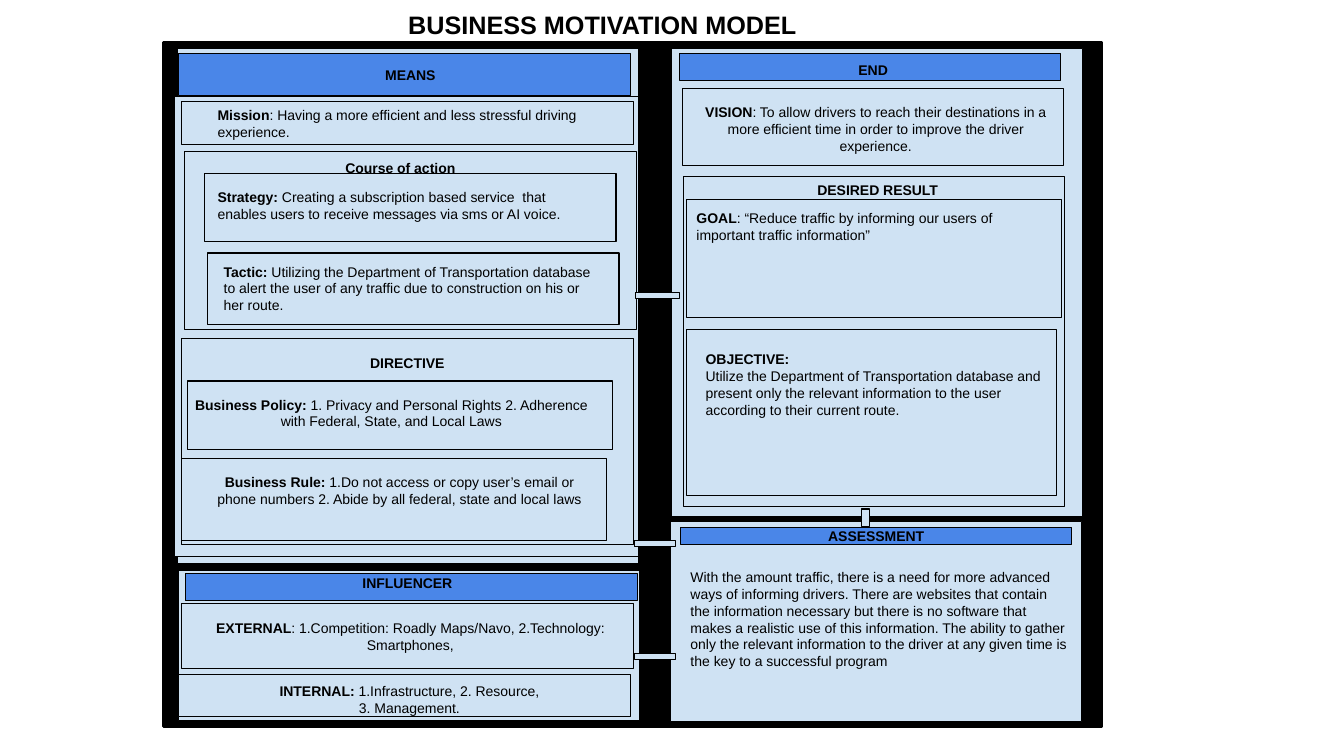
"""Build the Business Motivation Model slide."""
import pptx
import pptx.util
import pptx.dml.color
import pptx.enum.shapes
import pptx.enum.text

Inches, Pt = pptx.util.Inches, pptx.util.Pt
Align = pptx.enum.text.PP_ALIGN
Anchor = pptx.enum.text.MSO_ANCHOR

THEME = {
    "font": "Arial", "ink": "000000", "pale": "CFE2F3", "blue": "4A86E8",
    "title": 18, "body": 10, "frame": 2.25, "line": 0.75, "inset": 0.1,
}

TITLE = ("BUSINESS MOTIVATION MODEL", (2.71, -0.01, 6.53, 0.42))

BOXES = [
    ("ink", "frame", [(1.62, 0.42, 9.3, 6.79)]),
    ("pale", "line", [
        (1.76, 0.48, 4.57, 5.11), (6.66, 0.48, 4.08, 4.64),
        (1.77, 5.66, 4.57, 1.49), (6.65, 5.17, 4.08, 1.99),
        (1.73, 0.96, 4.6, 4.56),
    ]),
    ("blue", "line", [
        (1.77, 0.53, 4.48, 0.42), (6.74, 0.53, 3.78, 0.27),
        (1.84, 5.69, 4.48, 0.27), (6.75, 5.23, 3.88, 0.17),
    ]),
    ("pale", "line", [
        (1.8, 1.01, 4.48, 0.42), (1.83, 1.5, 4.48, 1.77),
        (2.03, 1.72, 4.08, 0.68), (2.06, 2.51, 4.08, 0.71),
        (1.8, 3.36, 4.48, 2.04), (1.86, 3.78, 4.22, 0.68),
        (1.8, 4.55, 4.22, 0.81),
        (6.77, 0.88, 3.78, 0.76), (6.78, 1.75, 3.78, 3.28),
        (6.81, 1.98, 3.72, 1.17), (6.81, 3.27, 3.67, 1.65),
        (1.8, 5.99, 4.48, 0.64), (1.77, 6.69, 4.48, 0.42),
    ]),
    ("pale", "line", [
        (6.3, 2.9, 0.44, 0.06), (6.29, 5.36, 0.41, 0.06),
        (6.29, 6.48, 0.41, 0.06), (8.54, 5.05, 0.08, 0.17),
    ]),
]

HEADS = [
    ("MEANS", (2.13, 0.56, 3.88, 0.35)),
    ("Course of action", (2.46, 1.48, 3.02, 0.35)),
    ("DIRECTIVE", (2.1, 3.42, 3.88, 0.27)),
    ("INFLUENCER", (1.93, 5.6, 4.22, 0.27)),
    ("END", (6.8, 0.51, 3.72, 0.35)),
    ("DESIRED RESULT", (6.87, 1.7, 3.67, 0.27)),
    ("ASSESSMENT", (6.75, 5.13, 3.88, 0.37)),
]

NOTES = [
    ("Mission", ": Having a more efficient and less stressful driving "
     "experience.", Align.LEFT, (2.06, 0.96, 4.08, 0.47)),
    ("Strategy: ", "Creating a subscription based service  that enables users "
     "to receive messages via sms or AI voice.",
     Align.LEFT, (2.06, 1.77, 3.95, 0.64)),
    ("Tactic: ", "Utilizing the Department of Transportation database to alert "
     "the user of any traffic due to construction on his or her route.",
     Align.LEFT, (2.12, 2.51, 3.95, 0.81)),
    ("Business Policy: ", "1. Privacy and Personal Rights 2. Adherence with "
     "Federal, State, and Local Laws",
     Align.CENTER, (1.77, 3.83, 4.22, 0.54)),
    ("Business Rule: ", "1.Do not access or copy user’s email or phone numbers "
     "2. Abide by all federal, state and local laws",
     Align.CENTER, (1.92, 4.6, 4.08, 0.68)),
    ("EXTERNAL", ": 1.Competition: Roadly Maps/Navo, 2.Technology: "
     "Smartphones,", Align.CENTER, (1.96, 6.05, 4.22, 0.47)),
    ("INTERNAL:", " 1.Infrastructure, 2. Resource,\n3. Management.",
     Align.CENTER, (1.95, 6.67, 4.22, 0.54)),
    ("VISION", ": To allow drivers to reach their destinations in a more "
     "efficient time in order to improve the driver experience.",
     Align.CENTER, (6.85, 0.93, 3.67, 0.76)),
    ("GOAL", ": “Reduce traffic by informing our users of important traffic "
     "information”", Align.LEFT, (6.81, 1.98, 3.6, 1.3)),
    ("OBJECTIVE:", "\nUtilize the Department of Transportation database and "
     "present only the relevant information to the user according to their "
     "current route.", Align.LEFT, (6.9, 3.38, 3.6, 1.58)),
    ("", "With the amount traffic, there is a need for more advanced ways of "
     "informing drivers. There are websites that contain the information "
     "necessary but there is no software that makes a realistic use of this "
     "information. The ability to gather only the relevant information to the "
     "driver at any given time is the key to a successful program",
     Align.LEFT, (6.75, 5.54, 3.95, 1.41)),
]


def color(name):
    return pptx.dml.color.RGBColor.from_string(THEME[name])


def add_box(slide, fill, line, place):
    kind = pptx.enum.shapes.MSO_SHAPE.RECTANGLE
    box = slide.shapes.add_shape(kind, *map(Inches, place))
    box.shadow.inherit = False
    box.fill.solid()
    box.fill.fore_color.rgb = color(fill)
    box.line.color.rgb = color("ink")
    box.line.width = Pt(THEME[line])


def write(frame, lead, rest, align, size, anchor=Anchor.TOP):
    frame.word_wrap = True
    frame.auto_size = pptx.enum.text.MSO_AUTO_SIZE.NONE
    frame.vertical_anchor = anchor
    frame.margin_left = frame.margin_right = Inches(THEME["inset"])
    frame.margin_top = frame.margin_bottom = Inches(THEME["inset"])
    first, *more = rest.split("\n")
    frame.text = "\n".join([lead, *more])
    if first:
        frame.paragraphs[0].add_run().text = first
    for row, para in enumerate(frame.paragraphs):
        para.alignment = align
        for col, run in enumerate(para.runs):
            run.font.name = THEME["font"]
            run.font.size = Pt(THEME[size])
            run.font.color.rgb = color("ink")
            run.font.bold = bool(lead) and row == col == 0


def add_text(slide, lead, rest, align, place, anchor=Anchor.TOP):
    text = slide.shapes.add_textbox(*map(Inches, place))
    write(text.text_frame, lead, rest, align, "body", anchor)


deck = pptx.Presentation()
deck.slide_width, deck.slide_height = Inches(13.33), Inches(7.5)
slide = deck.slides.add_slide(deck.slide_layouts[5])

title = slide.shapes.title
title.left, title.top, title.width, title.height = map(Inches, TITLE[1])
write(title.text_frame, TITLE[0], "", Align.CENTER, "title")

for fill, line, places in BOXES:
    for place in places:
        add_box(slide, fill, line, place)

for head, place in HEADS:
    anchor = Anchor.MIDDLE if head == "ASSESSMENT" else Anchor.TOP
    add_text(slide, head, "", Align.CENTER, place, anchor)

for note in NOTES:
    add_text(slide, *note)

deck.save("out.pptx")
